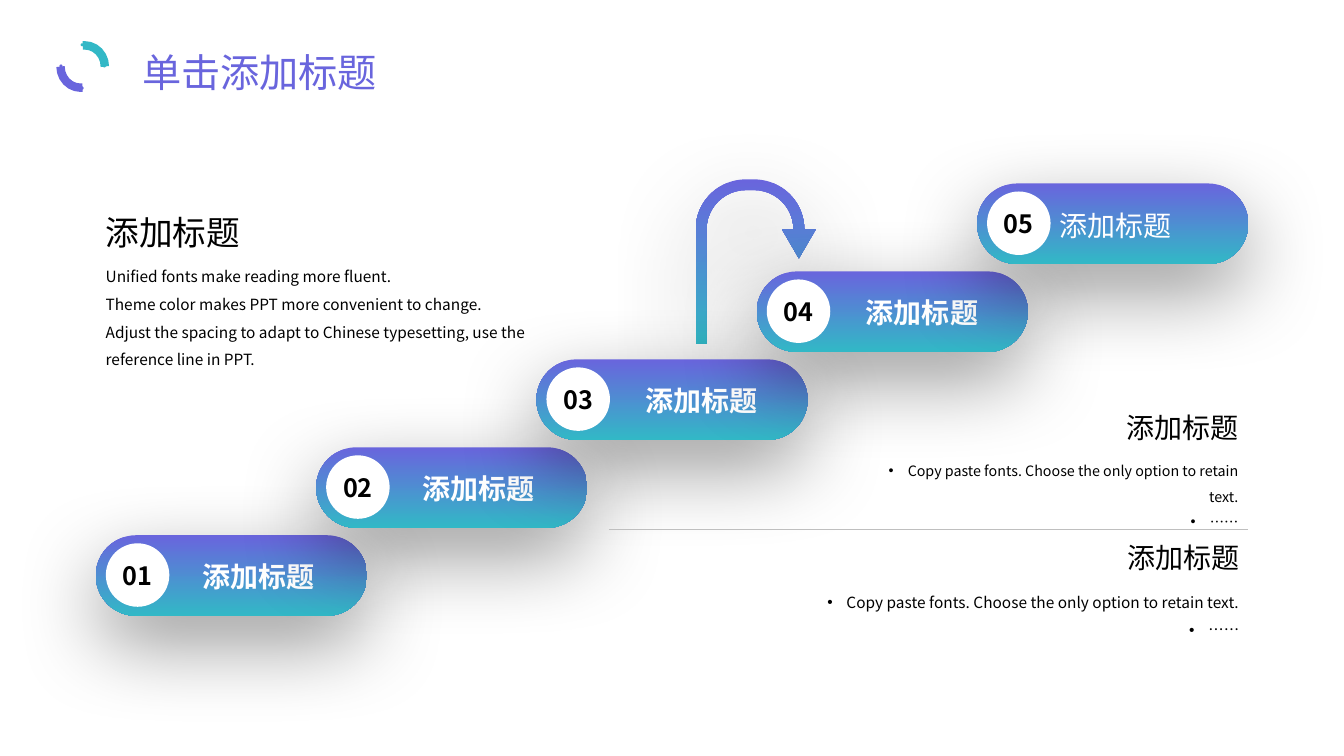
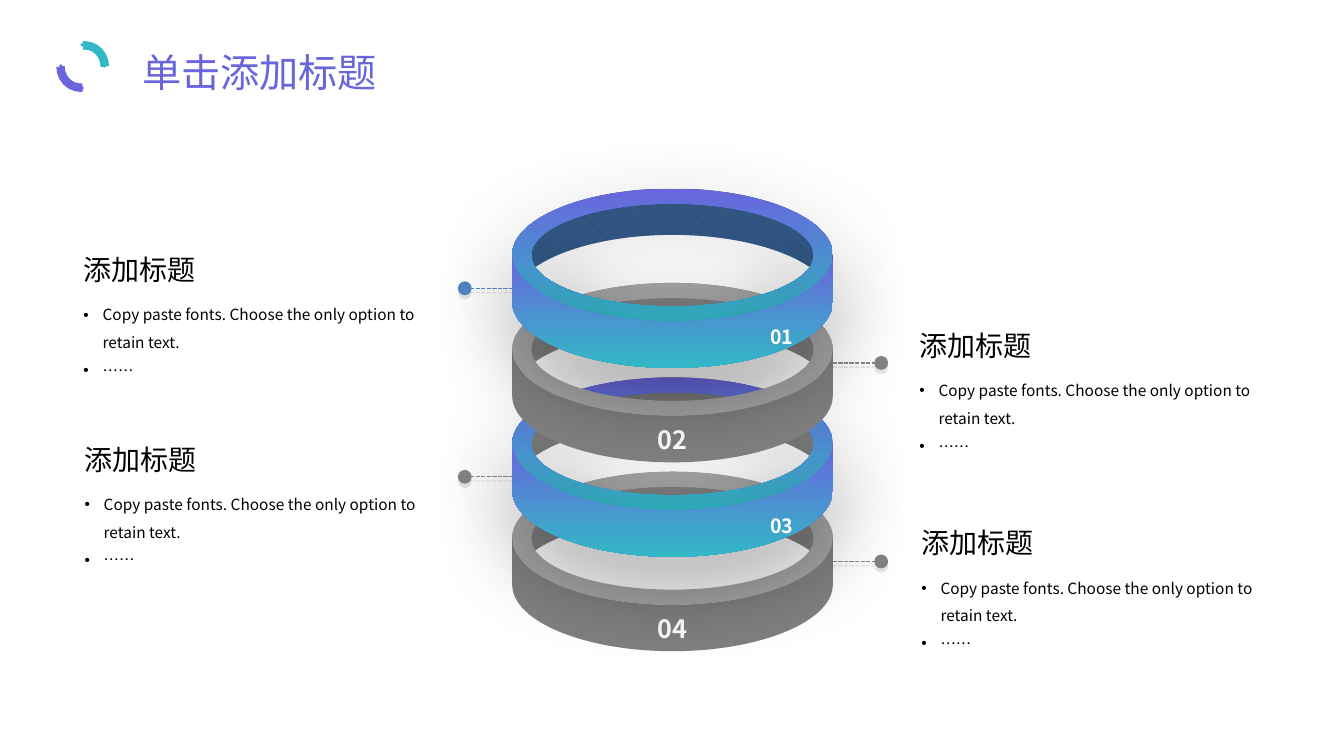
import math

import lxml.etree
import pptx
import pptx.dml.color
import pptx.enum.dml
import pptx.enum.shapes
import pptx.enum.text
import pptx.oxml.ns
import pptx.util

Inches = pptx.util.Inches
Pt = pptx.util.Pt
RGBColor = pptx.dml.color.RGBColor
SHAPE = pptx.enum.shapes.MSO_SHAPE
ALIGN = pptx.enum.text.PP_ALIGN
ANCHOR = pptx.enum.text.MSO_ANCHOR
qn = pptx.oxml.ns.qn

FONT = "Noto Sans CJK JP"
VIOLET = RGBColor(0x69, 0x65, 0xDD)
TEAL = RGBColor(0x32, 0xB8, 0xC6)
BLUE = RGBColor(0x4F, 0x81, 0xBD)
NAVY = RGBColor(0x25, 0x40, 0x61)
STEEL = RGBColor(0x37, 0x60, 0x92)
GRAY = RGBColor(0x80, 0x80, 0x80)
SILVER = RGBColor(0xA6, 0xA6, 0xA6)
PALE = RGBColor(0xBF, 0xBF, 0xBF)
WHITE = RGBColor(0xFF, 0xFF, 0xFF)
BLACK = RGBColor(0x00, 0x00, 0x00)

TITLE = "单击添加标题"
HEADING = "添加标题"
BULLETS = ["Copy paste fonts. Choose the only option to retain text.", "……"]
INTRO = [
    "Unified fonts make reading more fluent.",
    "Theme color makes PPT more convenient to change.",
    "Adjust the spacing to adapt to Chinese typesetting, use the reference line in PPT.",
]
SOFT_SHADOW = (40, 60, 20)
THIN_SHADOW = (10, 0, 3)

RING_CENTER = 6.67
RING_RADII = (1.59, 0.66)
HOLE_RADII = (1.4, 0.51)
RING_DEPTH = 0.46
CURVE_PULL = 0.55


def add_child(parent, tag, **attributes):
    return lxml.etree.SubElement(parent, qn(tag), attributes)


def set_shadow(shape, shadow=None):
    properties = shape._element.spPr
    for effects in properties.findall(qn("a:effectLst")):
        properties.remove(effects)
    effects = add_child(properties, "a:effectLst")
    if shadow:
        opacity, blur, distance = shadow
        outer = add_child(effects, "a:outerShdw", blurRad=str(Pt(blur)), dist=str(Pt(distance)),
                          dir="5400000", algn="t", rotWithShape="0")
        color = add_child(outer, "a:srgbClr", val="000000")
        add_child(color, "a:alpha", val=str(opacity * 1000))


def set_gradient(fill, angle=270):
    fill.gradient()
    fill.gradient_angle = angle
    for stop, color in zip(fill.gradient_stops, (VIOLET, TEAL)):
        stop.color.rgb = color


def paint(shape, color=None, shadow=None):
    if color is None:
        set_gradient(shape.fill)
    else:
        shape.fill.solid()
        shape.fill.fore_color.rgb = color
    shape.line.fill.background()
    set_shadow(shape, shadow)


def add_shape(shapes, kind, left, top, width, height, color=None, shadow=None):
    shape = shapes.add_shape(kind, Inches(left), Inches(top), Inches(width), Inches(height))
    paint(shape, color, shadow)
    return shape


def format_span(span, size, color=BLACK, bold=False):
    span.font.name = FONT
    span.font.size = Pt(size)
    span.font.bold = bold
    if color is None:
        set_gradient(span.font.fill, 180)
    else:
        span.font.color.rgb = color
    add_child(span._r.get_or_add_rPr(), "a:ea", typeface=FONT)


def add_bullet(para):
    properties = para._p.get_or_add_pPr()
    properties.set("marL", str(Inches(0.19)))
    properties.set("indent", str(Inches(-0.19)))
    add_child(properties, "a:buFont", typeface="Arial")
    add_child(properties, "a:buChar", char="•")


def write(shape, lines, size, color=BLACK, bold=False, align=ALIGN.LEFT, anchor=ANCHOR.TOP,
          spacing=None, bullets=False, wrap=True):
    frame = shape.text_frame
    frame.word_wrap = wrap
    frame.vertical_anchor = anchor
    frame.text = "\n".join(lines)
    for para in frame.paragraphs:
        para.alignment = align
        if spacing:
            para.line_spacing = spacing
        if bullets:
            add_bullet(para)
        for span in para.runs:
            format_span(span, size, color, bold)
    return frame


def add_text(page, left, top, width, height, lines, size, **style):
    box = page.shapes.add_textbox(Inches(left), Inches(top), Inches(width), Inches(height))
    return write(box, lines, size, **style)


def add_topic(page, left, top, width, heading_height, body_height, size=11, align=ALIGN.LEFT):
    add_text(page, left, top, width, heading_height, [HEADING], 20, align=align, anchor=ANCHOR.BOTTOM)
    add_text(page, left, top + heading_height, width, body_height, BULLETS, size,
             align=align, spacing=1.5, bullets=True)


def add_line(page, start, end, color, weight):
    line = page.shapes.add_connector(pptx.enum.shapes.MSO_CONNECTOR.STRAIGHT,
                                     *(Inches(value) for value in start + end))
    line.line.color.rgb = color
    line.line.width = Pt(weight)
    set_shadow(line)
    return line


def add_pointer(page, start, reach, top, color):
    pointer = add_line(page, (start, top), (start + reach, top), color, 1)
    pointer.line.dash_style = pptx.enum.dml.MSO_LINE.SQUARE_DOT
    add_child(pointer.line._get_or_add_ln(), "a:tailEnd", type="oval", w="lg", len="lg")
    set_shadow(pointer, THIN_SHADOW)


def add_ornament(page):
    group = page.shapes.add_group_shape()
    parts = (
        (TEAL, 0.64, 0, ((0.8, 0.43), (1.02, 0.64))),
        (VIOLET, 0.6, 180, ((0.59, 0.64), (0.8, 0.86))),
    )
    for color, left, rotation, dots in parts:
        arc = group.shapes.add_shape(SHAPE.ARC, Inches(left), Inches(0.45), Inches(0.4), Inches(0.42))
        arc.adjustments[0] = 158.91
        arc.rotation = rotation
        arc.fill.background()
        arc.line.color.rgb = color
        arc.line.width = Pt(6)
        set_shadow(arc)
        for x, y in dots:
            add_shape(group.shapes, SHAPE.OVAL, x, y, 0.03, 0.03, color, SOFT_SHADOW)


def add_page(deck):
    page = deck.slides.add_slide(deck.slide_layouts[5])
    title = page.shapes.title
    title.left, title.top, title.width, title.height = (
        Inches(value) for value in (1.31, 0.43, 2.88, 0.57))
    frame = write(title, [TITLE], 28, color=None, align=ALIGN.JUSTIFY)
    frame.auto_size = pptx.enum.text.MSO_AUTO_SIZE.NONE
    add_ornament(page)
    return page


def add_step(page, index, align, bold, right_inset):
    left = 0.95 + index * (9.69 - 0.95) / 4
    top = 5.31 - index * (5.31 - 1.82) / 4
    pill = add_shape(page.shapes, SHAPE.ROUNDED_RECTANGLE, left, top, 2.69, 0.8, shadow=SOFT_SHADOW)
    pill.adjustments[0] = 0.5
    badge = add_shape(page.shapes, SHAPE.OVAL, left + 0.1, top + 0.08, 0.63, 0.63, WHITE)
    write(badge, [f"{index + 1:02}"], 18, bold=True, align=ALIGN.CENTER, anchor=ANCHOR.MIDDLE, wrap=False)
    frame = add_text(page, left + 0.72, top + 0.02, 1.84, 0.78, [HEADING], 20, color=WHITE,
                     bold=bold, align=align, anchor=ANCHOR.MIDDLE)
    frame.margin_right = Inches(right_inset)


def arc_points(center_y, radii, start, end):
    def locate(x, y):
        return Inches(RING_CENTER + radii[0] * x), Inches(center_y + radii[1] * y)

    turn = 90 if end > start else -90
    pull = math.copysign(CURVE_PULL, turn)
    points = [locate(math.cos(math.radians(start)), math.sin(math.radians(start)))]
    for angle in range(start, end, turn):
        x, y = math.cos(math.radians(angle)), math.sin(math.radians(angle))
        next_x, next_y = math.cos(math.radians(angle + turn)), math.sin(math.radians(angle + turn))
        points += [locate(x - pull * y, y + pull * x),
                   locate(next_x + pull * next_y, next_y - pull * next_x),
                   locate(next_x, next_y)]
    return points


def add_curved_outline(page, *contours):
    first, *others = contours
    builder = page.shapes.build_freeform(*first[0])
    builder.add_line_segments(first[1:], close=True)
    for contour in others:
        builder.move_to(*contour[0])
        builder.add_line_segments(contour[1:], close=True)
    outline = builder.convert_to_shape()
    lines = list(outline._element.spPr.iter(qn("a:lnTo")))
    for triple in zip(lines[::3], lines[1::3], lines[2::3]):
        curve = lxml.etree.Element(qn("a:cubicBezTo"))
        triple[0].addprevious(curve)
        for line in triple:
            curve.append(line[0])
            line.getparent().remove(line)
    return outline


def add_wall(page, center_y, far_angle):
    upper = arc_points(center_y, RING_RADII, 0, far_angle)
    lower = arc_points(center_y + RING_DEPTH, RING_RADII, far_angle, 0)
    return add_curved_outline(page, upper + [upper[-1], lower[0]] + lower)


def add_ring(page, index):
    colorful = index % 2 == 0
    shadow = SOFT_SHADOW if colorful else None
    center_y = 2.53 + index * (5.34 - 2.53) / 3

    back = add_wall(page, center_y, -180)
    paint(back, GRAY)
    if index == 0:
        back.fill.patterned()
        back.fill.pattern = pptx.enum.dml.MSO_PATTERN.DARK_DOWNWARD_DIAGONAL
        back.fill.fore_color.rgb = NAVY
        back.fill.back_color.rgb = STEEL

    rim = add_curved_outline(page, arc_points(center_y, HOLE_RADII, 0, 360),
                             arc_points(center_y, RING_RADII, 0, 360))
    paint(rim, None if colorful else SILVER, shadow)

    front = add_wall(page, center_y, 180)
    paint(front, None if colorful else GRAY, shadow)
    size, align = (14, ALIGN.RIGHT) if colorful else (18, ALIGN.CENTER)
    frame = write(front, [f"{index + 1:02}"], size, color=WHITE, bold=True,
                  align=align, anchor=ANCHOR.BOTTOM)
    frame.margin_right = Inches(0.39 if colorful else 0.1)
    frame.margin_bottom = Inches(0.19 if colorful else 0.08)


def build_steps(deck):
    page = add_page(deck)
    arrow = add_shape(page.shapes, SHAPE.U_TURN_ARROW, 6.9, 1.78, 1.19, 1.63, shadow=SOFT_SHADOW)
    for position, value in enumerate((0.09, 0.14, 0.24, 0.45, 0.48)):
        arrow.adjustments[position] = value
    styles = [(ALIGN.RIGHT, True, 0.39)] * 2 + [(ALIGN.CENTER, True, 0.1)] * 2 + [(ALIGN.LEFT, False, 0.1)]
    for index, style in enumerate(styles):
        add_step(page, index, *style)
    add_text(page, 0.95, 2.51, 4.83, 1.23, INTRO, 11, spacing=1.5)
    add_text(page, 0.95, 2.05, 4.83, 0.47, [HEADING], 24)
    add_topic(page, 8.4, 3.93, 3.98, 0.52, 0.84, size=10.2, align=ALIGN.RIGHT)
    add_topic(page, 5.79, 5.22, 6.6, 0.52, 0.84, align=ALIGN.RIGHT)
    add_line(page, (6.04, 5.25), (12.38, 5.25), PALE, 0.25)


def build_rings(deck):
    page = add_page(deck)
    for index in reversed(range(4)):
        add_ring(page, index)
    for start, reach, top, color in (
        (5.09, -0.48, 2.86, BLUE),
        (5.09, -0.48, 4.73, GRAY),
        (8.26, 0.48, 3.6, GRAY),
        (8.26, 0.48, 5.57, GRAY),
    ):
        add_pointer(page, start, reach, top, color)
    for left, top in ((0.73, 2.41), (0.74, 4.29), (9.02, 3.16), (9.04, 5.12)):
        add_topic(page, left, top, 3.57, 0.48, 0.95)


def main():
    deck = pptx.Presentation()
    deck.slide_width = Inches(13.33)
    deck.slide_height = Inches(7.5)
    build_steps(deck)
    build_rings(deck)
    deck.save("out.pptx")


if __name__ == "__main__":
    main()
